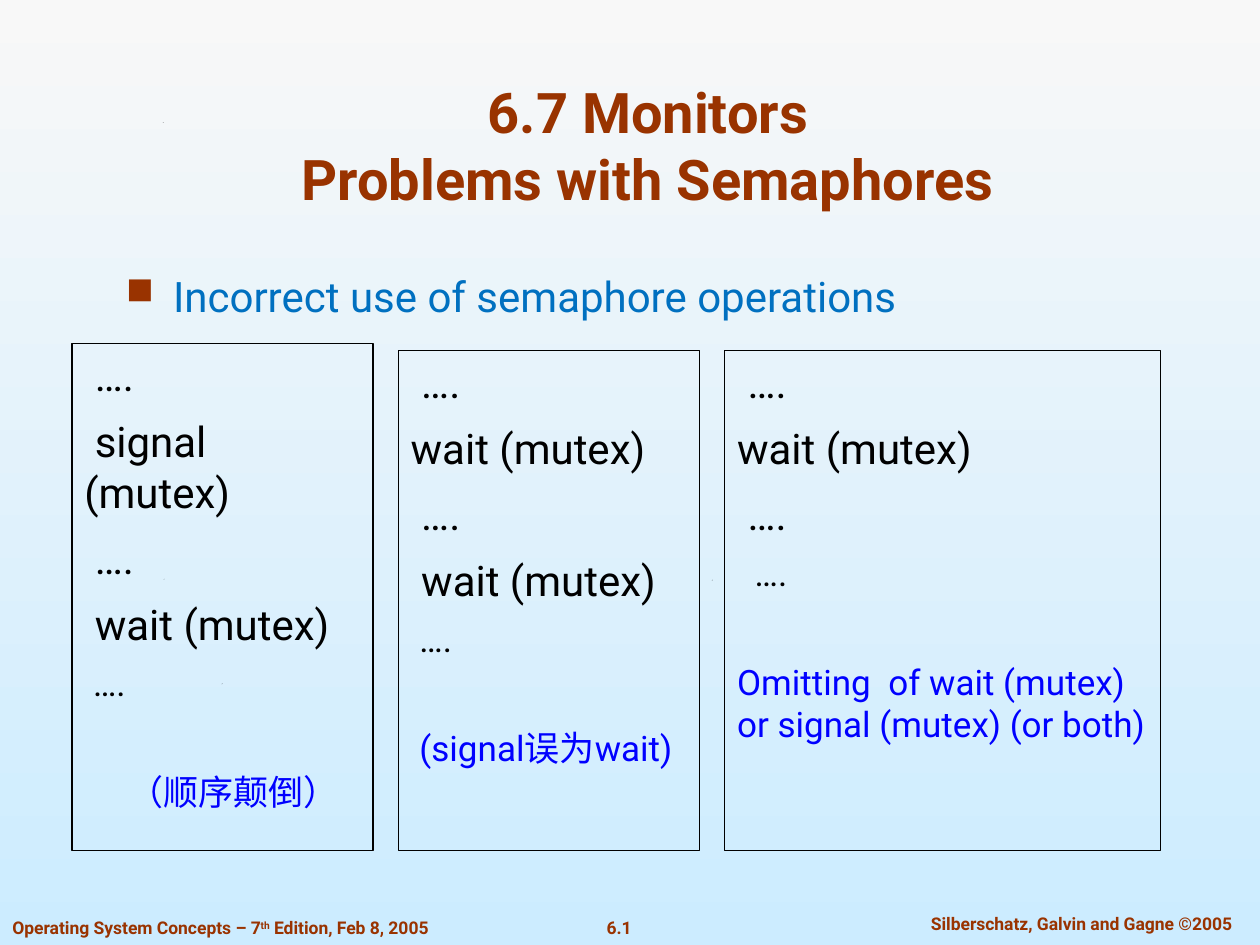
from lxml.etree import SubElement
from pptx import Presentation
from pptx.dml.color import RGBColor
from pptx.enum.shapes import MSO_SHAPE
from pptx.enum.text import MSO_ANCHOR, PP_ALIGN
from pptx.oxml.ns import qn
from pptx.util import Cm, Pt

RUST = RGBColor(0x99, 0x33, 0x00)
SKY = RGBColor(0x00, 0x70, 0xC0)
BLUE = RGBColor(0x00, 0x00, 0xFF)
BLACK = RGBColor(0x00, 0x00, 0x00)
PALE_GREY = RGBColor(0xF8, 0xF8, 0xF8)
PALE_BLUE = RGBColor(0xCC, 0xEC, 0xFF)


class SlideBuilder:
    font = "Roboto"
    code_size, note_size = 24, 20
    space_width = 0.25  # of the text size
    line_gap = 0.37  # of the text size
    note_gap = 38.5

    def __init__(self, slide):
        self.slide = slide

    def background(self, top, bottom):
        fill = self.slide.background.fill
        fill.gradient()
        fill.gradient_angle = 270
        for stop, color in zip(fill.gradient_stops, (top, bottom)):
            stop.color.rgb = color

    def run(self, paragraph, text, size, color, bold=False):
        run = paragraph.add_run()
        run.text = text
        run.font.name = self.font
        run.font.size = Pt(size)
        run.font.bold = bold
        run.font.color.rgb = color
        return run

    def text_box(self, left, top, width, height, align=PP_ALIGN.LEFT, wrap=True):
        box = self.slide.shapes.add_textbox(Cm(left), Cm(top), Cm(width), Cm(height))
        box.text_frame.word_wrap = wrap
        paragraph = box.text_frame.paragraphs[0]
        paragraph.alignment = align
        return box.text_frame, paragraph

    def title(self, lines, *place):
        frame, paragraph = self.text_box(*place, align=PP_ALIGN.CENTER)
        frame.vertical_anchor = MSO_ANCHOR.BOTTOM
        for number, line in enumerate(lines):
            if number:
                paragraph.add_line_break()
            self.run(paragraph, line, 32, RUST, bold=True)

    def bullet(self, text, *place):
        _, paragraph = self.text_box(*place)
        properties = paragraph._p.get_or_add_pPr()
        properties.set("marL", str(int(Cm(0.95))))
        properties.set("indent", str(-int(Cm(0.95))))
        color = SubElement(properties, qn("a:buClr"))
        SubElement(color, qn("a:srgbClr"), val=str(RUST))
        SubElement(properties, qn("a:buSzPct"), val="90000")
        SubElement(properties, qn("a:buChar"), char="■")
        self.run(paragraph, text, 24, SKY)

    def footer(self, parts, *place, align=PP_ALIGN.CENTER, wrap=False):
        _, paragraph = self.text_box(*place, align=align, wrap=wrap)
        for text, raised in parts:
            run = self.run(paragraph, text, 10, RUST, bold=True)
            if raised:
                run.font._element.set("baseline", "30000")

    def speck(self, x, y):
        outline = self.slide.shapes.build_freeform(Cm(x), Cm(y))
        outline.add_line_segments([(Cm(x + 0.02), Cm(y - 0.01)), (Cm(x + 0.01), Cm(y))])
        speck = outline.convert_to_shape()
        speck.shadow.inherit = False
        speck.fill.solid()
        speck.fill.fore_color.rgb = BLACK
        speck.line.fill.background()

    def code_panel(self, code, note, left, top, width, bottom):
        """Code lines and the note are (leading spaces, text) pairs."""
        panel = self.slide.shapes.add_shape(
            MSO_SHAPE.RECTANGLE, Cm(left), Cm(top), Cm(width), Cm(bottom - top))
        panel.shadow.inherit = False
        panel.fill.background()
        panel.line.color.rgb = BLACK
        panel.line.width = Pt(0.75)
        frame = panel.text_frame
        frame.word_wrap = True
        frame.vertical_anchor = MSO_ANCHOR.TOP

        # The last code line is as small as the note
        sizes = [self.code_size] * (len(code) - 1) + [self.note_size]
        rows = [(line, size, BLACK, size * self.line_gap) for line, size in zip(code, sizes)]
        rows.append((note, self.note_size, BLUE, self.note_gap))
        for number, ((spaces, text), size, color, gap) in enumerate(rows):
            paragraph = frame.add_paragraph() if number else frame.paragraphs[0]
            paragraph.alignment = PP_ALIGN.LEFT
            paragraph.space_before = Pt(gap if number else 0)
            indent = int(Pt(spaces * size * self.space_width))
            paragraph._p.get_or_add_pPr().set("indent", str(indent))
            self.run(paragraph, text, size, color)


def main():
    deck = Presentation()
    deck.slide_width, deck.slide_height = Cm(25.4), Cm(19.05)
    builder = SlideBuilder(deck.slides.add_slide(deck.slide_layouts[6]))
    builder.background(PALE_GREY, PALE_BLUE)

    # Specks of the backdrop
    for x, y in ((4.47, 13.79), (3.3, 11.68), (14.35, 11.7), (3.28, 2.48)):
        builder.speck(x, y)

    # Footer
    builder.footer([("Operating System Concepts – 7", False), ("th", True),
                    (" Edition, Feb 8, 2005", False)],
                   0, 18.36, 9.4, 0.69, align=PP_ALIGN.LEFT)
    builder.footer([("6.1", False)], 11.86, 18.36, 1.24, 0.69)
    builder.footer([("Silberschatz, Galvin and Gagne ©2005", False)],
                   18.03, 18.29, 7.54, 0.69, wrap=True)

    # Heading
    builder.title(["6.7 Monitors", "Problems with Semaphores"], 1.85, 1.55, 22.43, 2.84)
    builder.bullet("Incorrect use of semaphore operations", 2.29, 5.33, 19.33, 1.6)

    # Three misuses side by side
    dots = (1, "….")
    misuses = [
        ([dots, (1, "signal (mutex)"), dots, (1, "wait (mutex)"), dots],
         (5, "（顺序颠倒）"), 6.93, 6.07),
        ([dots, (0, "wait (mutex)"), dots, (1, "wait (mutex)"), dots],
         (1, "(signal误为wait)"), 7.06, 6.07),
        ([dots, (0, "wait (mutex)"), dots, (2, "….")],
         (0, "Omitting  of wait (mutex) or signal (mutex) (or both)"), 7.06, 8.79),
    ]
    left, gap, bottom = 1.45, 0.51, 17.15
    for code, note, top, width in misuses:
        builder.code_panel(code, note, left, top, width, bottom)
        left += width + gap

    deck.save("out.pptx")


if __name__ == "__main__":
    main()
